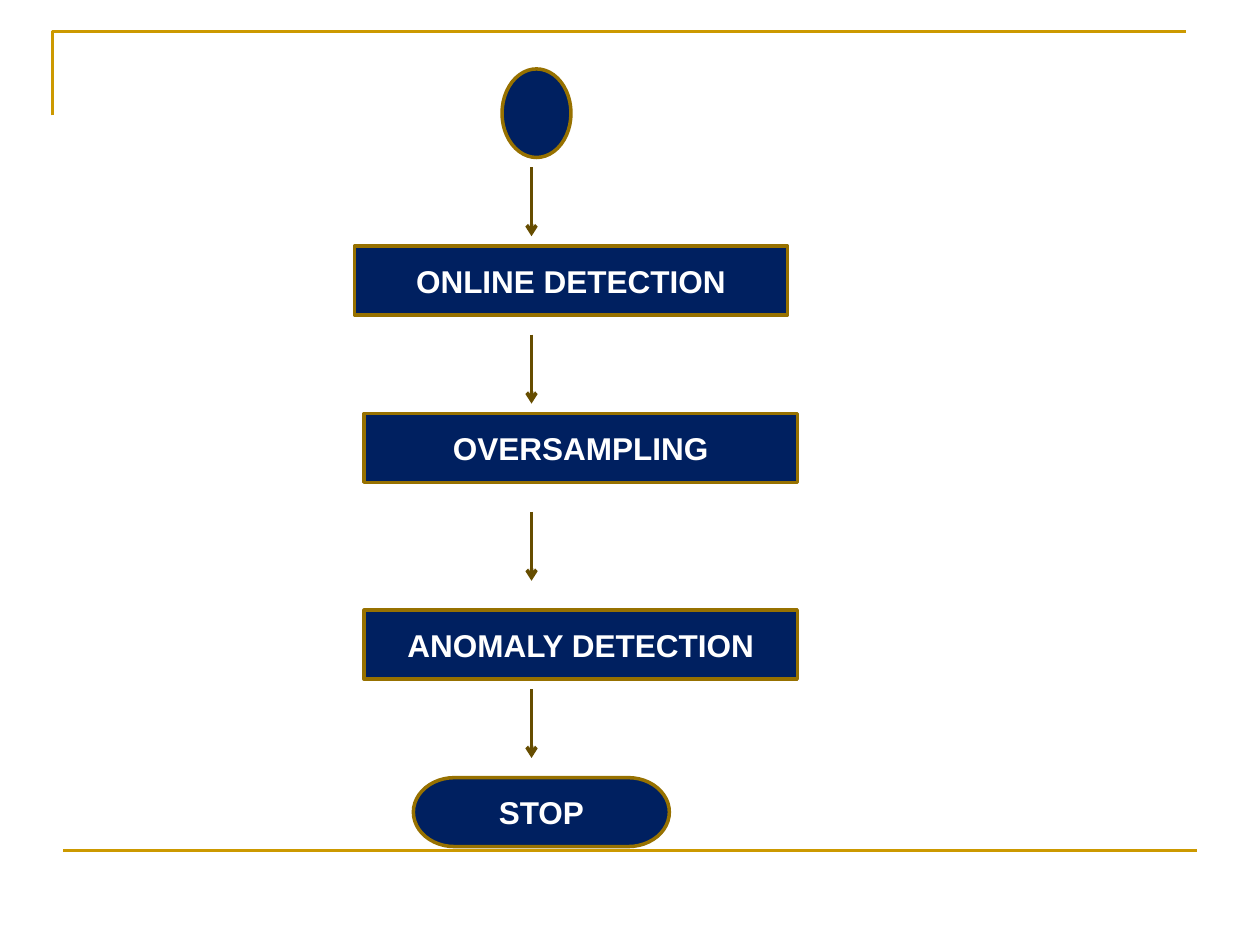
from lxml.etree import SubElement
from pptx import Presentation
from pptx.dml.color import RGBColor
from pptx.enum.shapes import MSO_CONNECTOR, MSO_SHAPE
from pptx.enum.text import MSO_ANCHOR, PP_ALIGN
from pptx.oxml.ns import qn
from pptx.util import Pt

COLORS = {
    "frame": "CC9900",
    "node": "002060",
    "outline": "977100",
    "arrow": "664D00",
    "text": "FFFFFF",
}
STEP_HEIGHT = 39.4
STEP_WIDTH = 247.5
ARROW_X = 303.75
ARROW_LENGTH = 39.4


def color(name):
    return RGBColor.from_string(COLORS[name])


def set_line(shape, name, width):
    shape.line.color.rgb = color(name)
    shape.line.width = Pt(width)


def add_line(slide, start, end, name, width):
    line = slide.shapes.add_connector(
        MSO_CONNECTOR.STRAIGHT, *(Pt(value) for value in (*start, *end)))
    set_line(line, name, width)
    SubElement(line._element.spPr, qn("a:effectLst"))
    return line


def add_arrow(slide, top):
    arrow = add_line(slide, (ARROW_X, top), (ARROW_X, top + ARROW_LENGTH), "arrow", 2)
    SubElement(arrow.line._get_or_add_ln(), qn("a:tailEnd"), type="arrow")


def add_corner(slide):
    builder = slide.shapes.build_freeform(Pt(30), Pt(66), scale=1)
    builder.add_line_segments([(Pt(30), Pt(18)), (Pt(678), Pt(18))], close=False)
    corner = builder.convert_to_shape()
    corner.shadow.inherit = False
    corner.fill.background()
    set_line(corner, "frame", 1.5)


def add_node(slide, kind, left, top, width, height, text=""):
    node = slide.shapes.add_shape(kind, Pt(left), Pt(top), Pt(width), Pt(height))
    node.shadow.inherit = False
    node.fill.solid()
    node.fill.fore_color.rgb = color("node")
    set_line(node, "outline", 2)
    if text:
        frame = node.text_frame
        frame.text = text
        frame.word_wrap = True
        frame.vertical_anchor = MSO_ANCHOR.MIDDLE
        paragraph = frame.paragraphs[0]
        paragraph.alignment = PP_ALIGN.CENTER
        font = paragraph.font
        font.name = "Arial"
        font.size = Pt(18)
        font.bold = True
        font.color.rgb = color("text")


def main():
    presentation = Presentation()
    presentation.slide_width = Pt(720)
    presentation.slide_height = Pt(540)
    slide = presentation.slides.add_slide(presentation.slide_layouts[6])

    # Frame lines
    add_corner(slide)
    add_line(slide, (36, 486), (684, 486), "frame", 1.5)

    # Arrows between the steps
    for top in (95.6, 191.25, 292.5, 393.75):
        add_arrow(slide, top)

    # Start, steps and stop
    add_node(slide, MSO_SHAPE.FLOWCHART_CONNECTOR, 286.9, 39.4, 39.4, 50.6)
    for text, left, top in (
        ("ONLINE DETECTION", 202.5, 140.6),
        ("OVERSAMPLING", 208.1, 236.25),
        ("ANOMALY DETECTION", 208.1, 348.75),
    ):
        add_node(slide, MSO_SHAPE.FLOWCHART_PROCESS,
                 left, top, STEP_WIDTH, STEP_HEIGHT, text)
    add_node(slide, MSO_SHAPE.FLOWCHART_TERMINATOR,
             236.25, 444.4, 146.25, STEP_HEIGHT, "STOP")

    presentation.save("out.pptx")


main()
